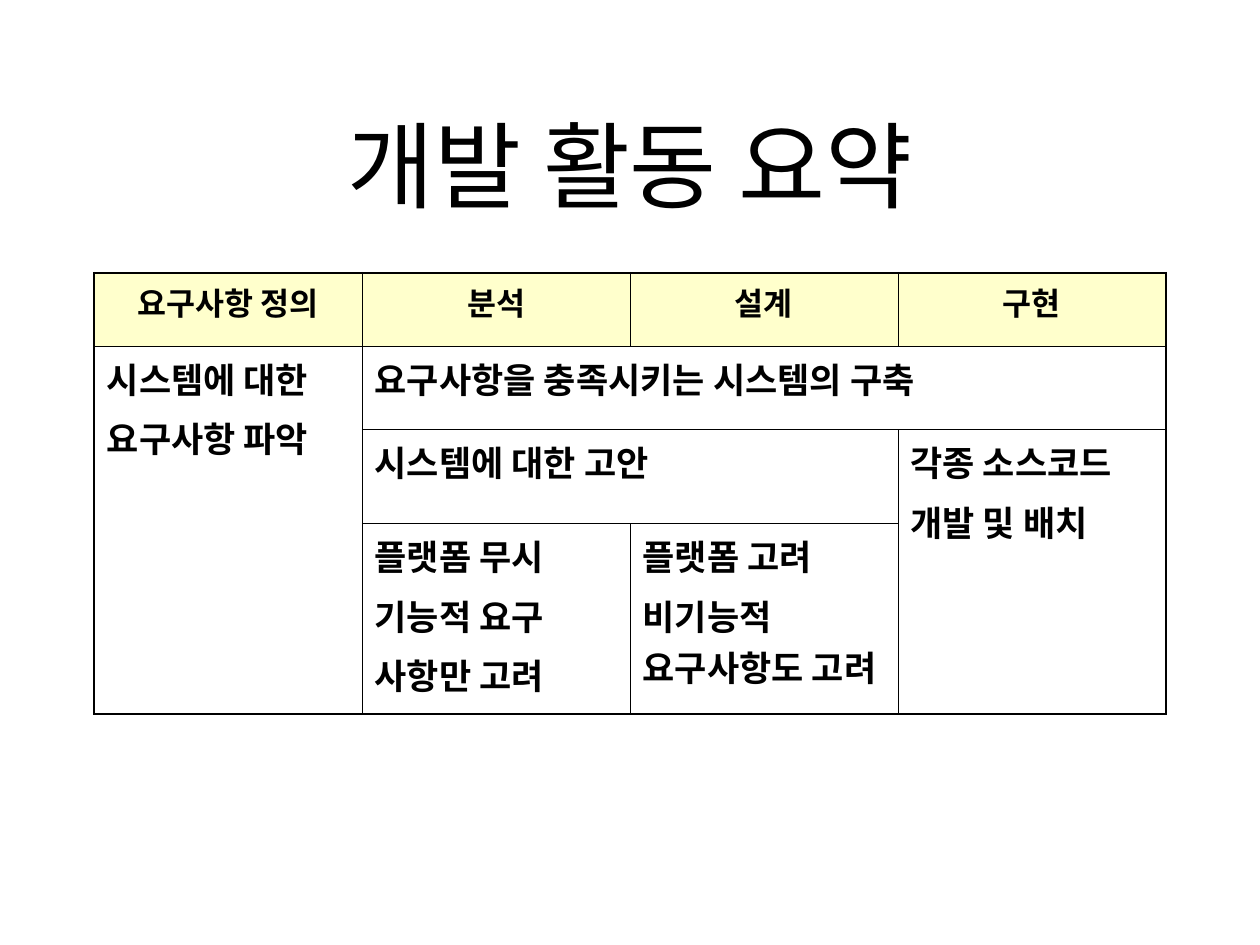
from lxml.etree import SubElement
from pptx import Presentation
from pptx.dml.color import RGBColor
from pptx.enum.text import MSO_ANCHOR as Anchor, PP_ALIGN as Align
from pptx.oxml.ns import qn
from pptx.util import Cm, Pt

COLORS = {"ink": "000000", "header": "FFFFCC"}
FONT = "Noto Sans CJK KR"
OUTER, INNER = 1.08, 0.45

# Activity blocks: row, column, rows spanned, columns spanned, lines
HEADERS = ["요구사항 정의", "분석", "설계", "구현"]
BLOCKS = [
    (1, 0, 3, 1, ["시스템에 대한", "요구사항 파악"]),
    (1, 1, 1, 3, ["요구사항을 충족시키는 시스템의 구축"]),
    (2, 1, 1, 2, ["시스템에 대한 고안"]),
    (2, 3, 2, 1, ["각종 소스코드", "개발 및 배치"]),
    (3, 1, 1, 1, ["플랫폼 무시", "기능적 요구", "사항만 고려"]),
    (3, 2, 1, 1, ["플랫폼 고려", "비기능적 요구사항도 고려"]),
]
ROW_HEIGHTS = [1.48, 1.68, 1.9, 3.83]
COLUMN_WIDTH = 5.4


def write(frame, lines, size, bold=False, align=Align.LEFT, before=0):
    """Fill a text frame with one paragraph per line."""
    for i, line in enumerate(lines):
        paragraph = frame.paragraphs[0] if i == 0 else frame.add_paragraph()
        paragraph.alignment = align
        paragraph.space_before = Pt(before)
        run = paragraph.add_run()
        run.text = line
        run.font.size, run.font.bold, run.font.name = Pt(size), bold, FONT
        run.font.color.rgb = RGBColor.from_string(COLORS["ink"])
        SubElement(run.font._element, qn("a:ea"), typeface=FONT)


class SlideBuilder:
    def __init__(self, slide):
        self.slide = slide

    def title(self, text, left, top, width, height):
        title = self.slide.shapes.title
        title.left, title.top = Cm(left), Cm(top)
        title.width, title.height = Cm(width), Cm(height)
        title.text_frame.vertical_anchor = Anchor.MIDDLE
        write(title.text_frame, [text], 54, align=Align.CENTER)

    def table(self, left, top, column_width, row_heights, columns):
        frame = self.slide.shapes.add_table(
            len(row_heights), columns, Cm(left), Cm(top),
            Cm(column_width * columns), Cm(sum(row_heights)))
        table = frame.table
        table.first_row = table.horz_banding = False
        for column in table.columns:
            column.width = Cm(column_width)
        for row, height in zip(table.rows, row_heights):
            row.height = Cm(height)
        return table

    def block(self, table, row, col, height, width, lines, fill=None, **style):
        """Merge a block of cells, then border, fill and write it."""
        bottom, right = row + height, col + width
        origin = table.cell(row, col)
        if height * width > 1:
            origin.merge(table.cell(bottom - 1, right - 1))
        edges = {"lnL": col == 0, "lnR": right == len(table.columns),
                 "lnT": row == 0, "lnB": bottom == len(table.rows)}
        for r in range(row, bottom):
            for c in range(col, right):
                cell = table.cell(r, c)
                touches = {"lnL": c == col, "lnR": c == right - 1,
                           "lnT": r == row, "lnB": r == bottom - 1}
                for side, is_outer in edges.items():
                    if (r, c) == (row, col) or touches[side]:
                        self.border(cell, side, OUTER if is_outer else INNER)
                if fill:
                    cell.fill.solid()
                    cell.fill.fore_color.rgb = RGBColor.from_string(COLORS[fill])
                else:
                    cell.fill.background()
        write(origin.text_frame, lines, bold=True, **style)

    def border(self, cell, side, width):
        properties = cell._tc.get_or_add_tcPr()
        line = SubElement(properties, qn(f"a:{side}"), w=str(Pt(width)))
        solid = SubElement(line, qn("a:solidFill"))
        SubElement(solid, qn("a:srgbClr"), val=COLORS["ink"])


def main():
    deck = Presentation()
    deck.slide_width, deck.slide_height = Cm(25.4), Cm(19.05)
    builder = SlideBuilder(deck.slides.add_slide(deck.slide_layouts[5]))

    # Title
    builder.title("개발 활동 요약", 1.9, 1.7, 21.6, 3.18)

    # Activity table: header row, then merged body blocks
    activities = builder.table(1.9, 5.5, COLUMN_WIDTH, ROW_HEIGHTS, len(HEADERS))
    for col, header in enumerate(HEADERS):
        builder.block(activities, 0, col, 1, 1, [header], fill="header",
                      size=18, align=Align.CENTER, before=4.5)
    for block in BLOCKS:
        builder.block(activities, *block, size=20, before=5)

    deck.save("out.pptx")


if __name__ == "__main__":
    main()
